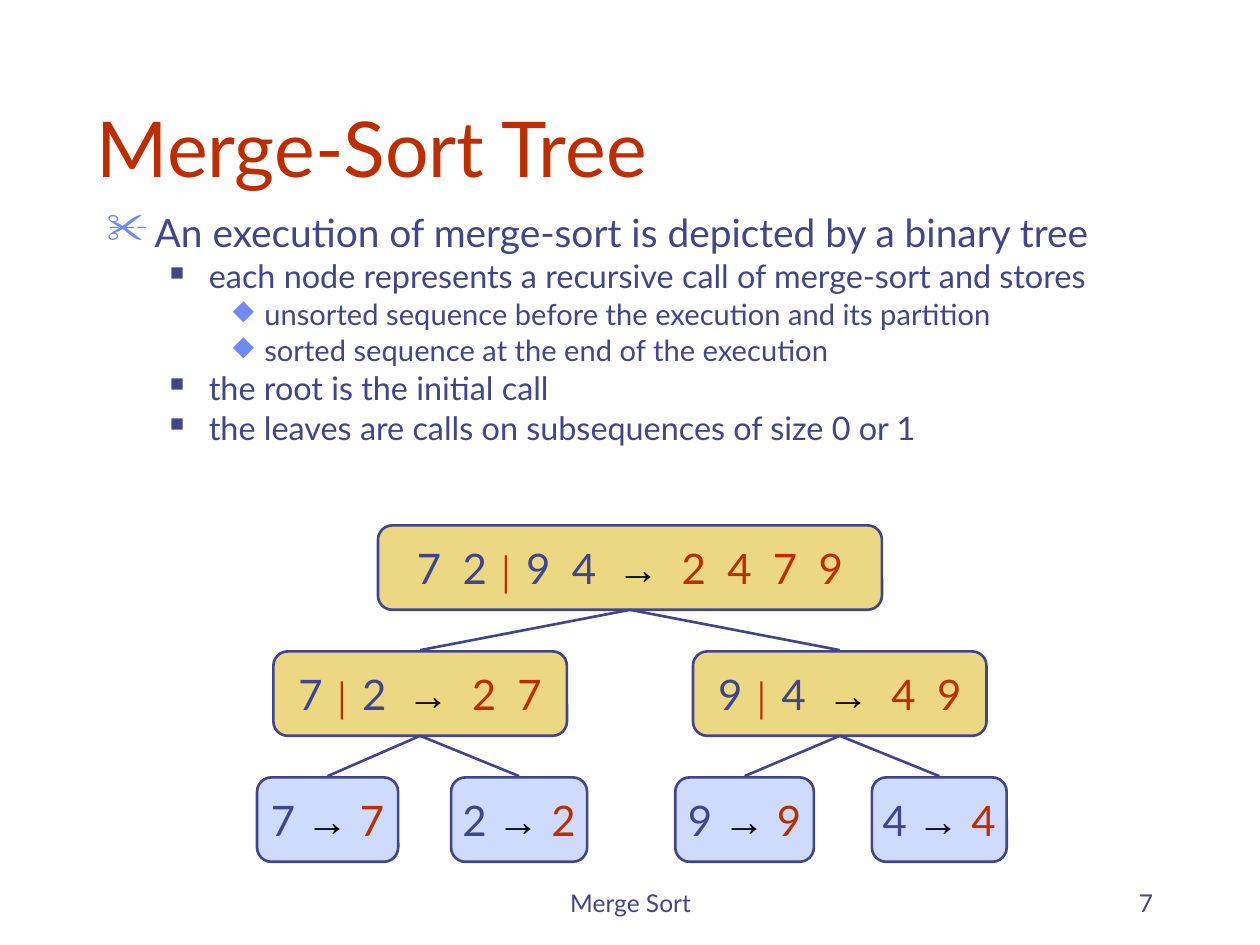
"""Build the Merge-Sort Tree slide with its outline and recursion tree."""
import lxml.etree
import pptx
import pptx.dml.color
import pptx.enum.shapes
import pptx.enum.text
import pptx.oxml.ns
import pptx.util

Inches = pptx.util.Inches
Pt = pptx.util.Pt
Align = pptx.enum.text.PP_ALIGN
Anchor = pptx.enum.text.MSO_ANCHOR
qn = pptx.oxml.ns.qn

COLORS = {
    "indigo": "40458C",
    "red": "BE2D00",
    "blue": "6F89F7",
    "black": "000000",
    "gold": "ECD882",
    "pale": "CFDBFD",
}


def rgb(name):
    return pptx.dml.color.RGBColor.from_string(COLORS[name])


def add_span(para, text, size, color, font="Lato", bold=False):
    span = para.add_run()
    span.text = text
    span.font.name = font
    span.font.size = Pt(size)
    span.font.bold = bold
    span.font.color.rgb = rgb(color)
    return span


deck = pptx.Presentation()
deck.slide_width, deck.slide_height = Inches(10), Inches(7.5)
page = deck.slides.add_slide(deck.slide_layouts[6])

labels = [
    ("Merge Sort", 3.42, 6.83, 3.17, 0.5, 14, "indigo", Align.CENTER),
    ("7", 7.17, 6.83, 2.08, 0.5, 14, "indigo", Align.RIGHT),
    ("Merge-Sort Tree", 0.67, 0.33, 8.5, 1.25, 44, "red", Align.LEFT),
]
for text, left, top, width, height, size, color, align in labels:
    box = page.shapes.add_textbox(Inches(left), Inches(top), Inches(width), Inches(height))
    box.text_frame.word_wrap = True
    box.text_frame.vertical_anchor = Anchor.BOTTOM
    para = box.text_frame.paragraphs[0]
    para.alignment = align
    add_span(para, text, size, color)

levels = [
    {"size": 22.2, "indent": 0.38, "hang": 0.38, "before": 6, "bullet": "✂", "color": "blue", "scale": 110},
    {"size": 18.5, "indent": 0.81, "hang": 0.31, "before": 5, "bullet": "■", "color": "indigo", "scale": 60},
    {"size": 16.65, "indent": 1.25, "hang": 0.25, "before": 4.5, "bullet": "◆", "color": "blue", "scale": 95},
]
outline = [
    (0, "An execution of merge-sort is depicted by a binary tree"),
    (1, "each node represents a recursive call of merge-sort and stores"),
    (2, "unsorted sequence before the execution and its partition"),
    (2, "sorted sequence at the end of the execution"),
    (1, "the root is the initial call"),
    (1, "the leaves are calls on subsequences of size 0 or 1"),
]
box = page.shapes.add_textbox(Inches(0.75), Inches(1.68), Inches(8.83), Inches(2.41))
box.text_frame.word_wrap = True
for index, (depth, text) in enumerate(outline):
    level = levels[depth]
    para = box.text_frame.add_paragraph() if index else box.text_frame.paragraphs[0]
    para.level = depth
    para.line_spacing = 0.8
    para.space_before = Pt(level["before"] if index else 0)
    props = para._p.get_or_add_pPr()
    props.set("marL", str(Inches(level["indent"])))
    props.set("indent", str(-Inches(level["hang"])))
    bullet_color = lxml.etree.SubElement(props, qn("a:buClr"))
    lxml.etree.SubElement(bullet_color, qn("a:srgbClr"), val=COLORS[level["color"]])
    lxml.etree.SubElement(props, qn("a:buSzPct"), val=str(level["scale"] * 1000))
    lxml.etree.SubElement(props, qn("a:buChar"), char=level["bullet"])
    add_span(para, text, level["size"], "indigo")

WIDE_GAP = "_"
tree = [
    ("7_2 │ 9_4_→_2_4_7_9", 0, 3, 4),
    ("7 │ 2_→_2_7", 1, 2.17, 2.33),
    ("9 │ 4_→_4_9", 1, 5.5, 2.33),
    ("7 → 7", 2, 2.04, 1.12),
    ("2 → 2", 2, 3.58, 1.08),
    ("9 → 9", 2, 5.36, 1.1),
    ("4 → 4", 2, 6.92, 1.07),
]
node_height = 0.67
centers, tops = [], []
for sequence, depth, left, width in tree:
    top = 4.17 + depth
    centers.append(left + width / 2)
    tops.append(top)
    node = page.shapes.add_shape(
        pptx.enum.shapes.MSO_SHAPE.ROUNDED_RECTANGLE,
        Inches(left), Inches(top), Inches(width), Inches(node_height),
    )
    node.adjustments[0] = 0.17
    node.shadow.inherit = False
    node.fill.solid()
    node.fill.fore_color.rgb = rgb("pale" if depth == 2 else "gold")
    node.line.color.rgb = rgb("indigo")
    node.line.width = Pt(1.5)
    node.text_frame.word_wrap = False
    node.text_frame.vertical_anchor = Anchor.MIDDLE
    para = node.text_frame.paragraphs[0]
    para.alignment = Align.CENTER
    digit_color = "indigo"
    for symbol in sequence:
        if symbol == "│":
            style = (18, "red", "Arial", True)
        elif symbol == "→":
            style = (24, "black", "Arial", True)
            digit_color = "red"
        elif symbol.isdigit():
            style = (24, digit_color)
        span = add_span(para, symbol.replace(WIDE_GAP, " "), *style)
        if symbol == WIDE_GAP:
            span._r.get_or_add_rPr().set("spc", "600")

for child in range(1, len(tree)):
    parent = (child - 1) // 2
    branch = page.shapes.add_connector(
        pptx.enum.shapes.MSO_CONNECTOR.STRAIGHT,
        Inches(centers[child]), Inches(tops[child] - 0.01),
        Inches(centers[parent]), Inches(tops[parent] + node_height),
    )
    branch.line.color.rgb = rgb("indigo")
    branch.line.width = Pt(1.5)
    lxml.etree.SubElement(branch._element.spPr, qn("a:effectLst"))

deck.save("out.pptx")
